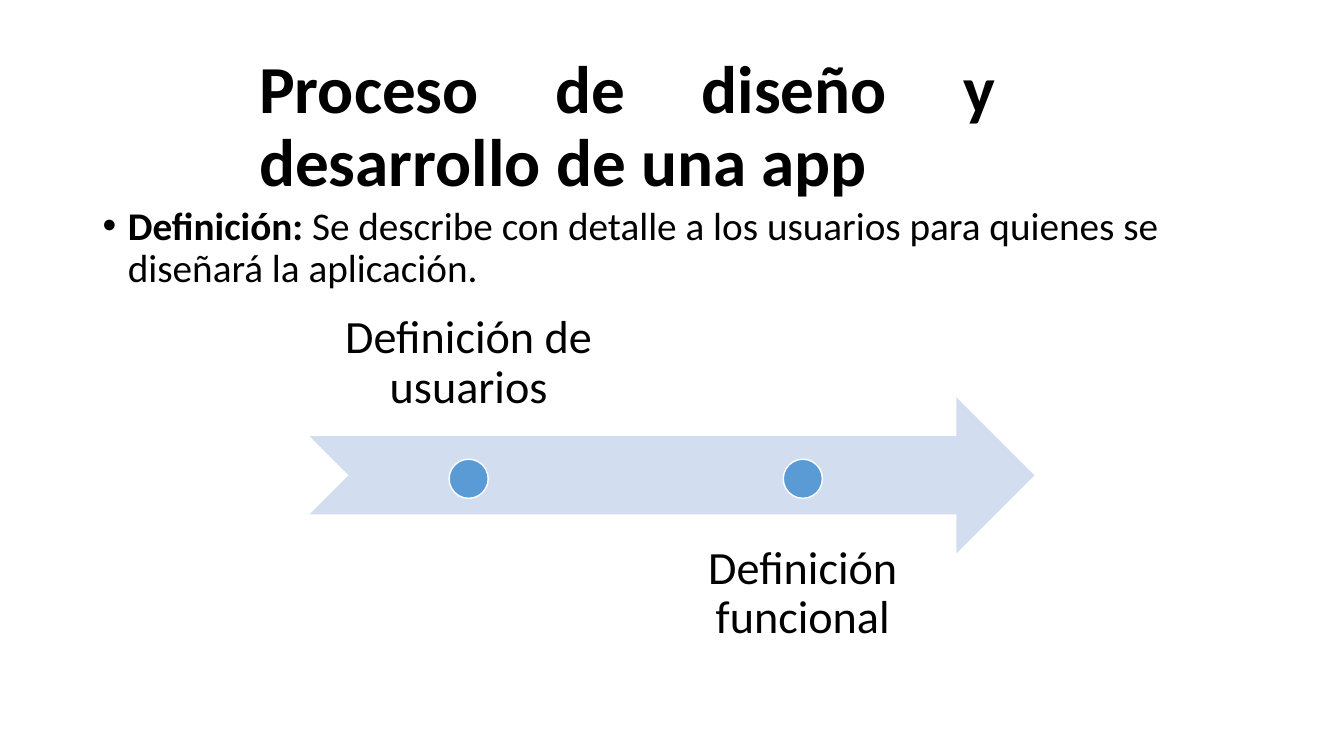
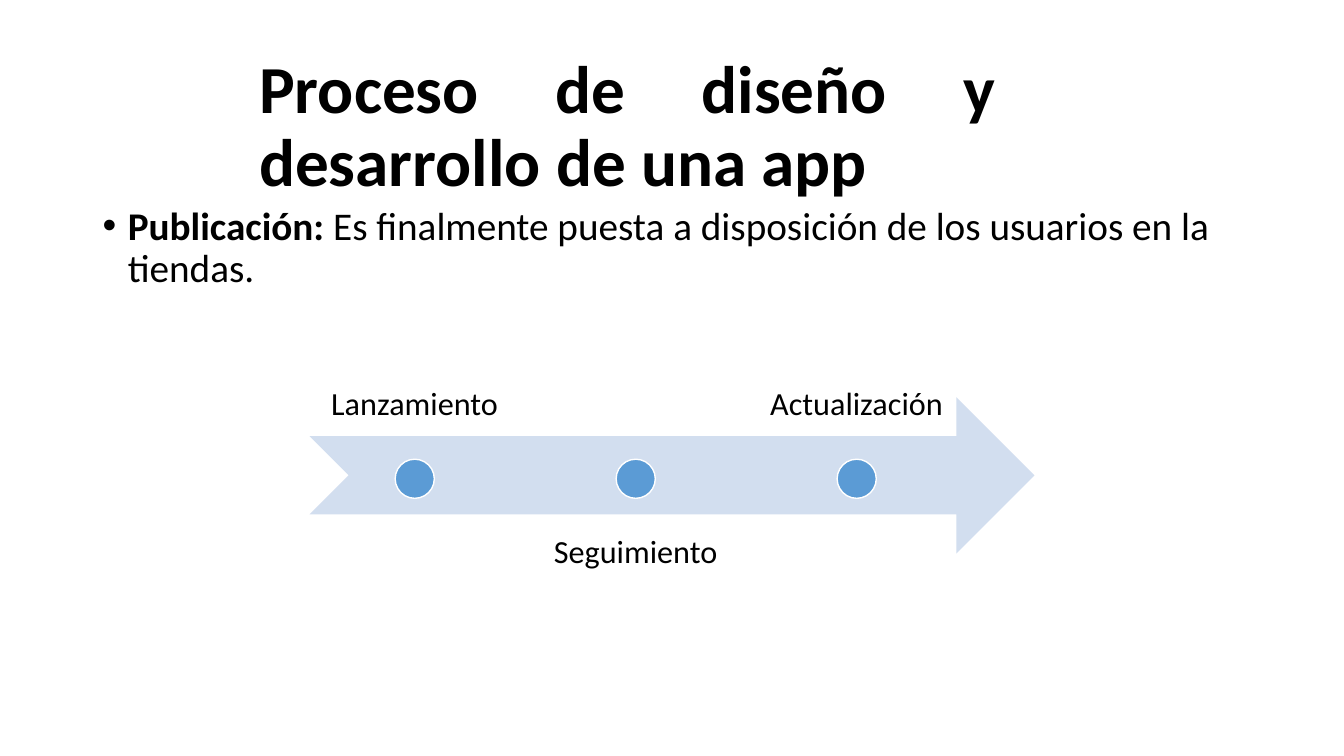
from lxml import etree
from pptx import Presentation
from pptx.dml.color import RGBColor
from pptx.enum.shapes import MSO_SHAPE
from pptx.enum.text import MSO_ANCHOR, MSO_AUTO_SIZE, PP_ALIGN
from pptx.oxml.ns import qn
from pptx.util import Inches, Pt

ARROW = MSO_SHAPE.NOTCHED_RIGHT_ARROW
DOT = MSO_SHAPE.OVAL
TOP, MIDDLE, BOTTOM = MSO_ANCHOR.TOP, MSO_ANCHOR.MIDDLE, MSO_ANCHOR.BOTTOM
CENTER, JUSTIFY = PP_ALIGN.CENTER, PP_ALIGN.JUSTIFY
NO_AUTOFIT = MSO_AUTO_SIZE.NONE

BLACK = RGBColor(0x00, 0x00, 0x00)
WHITE = RGBColor(0xFF, 0xFF, 0xFF)
PALE_BLUE = RGBColor(0xD2, 0xDE, 0xEF)
BLUE = RGBColor(0x5B, 0x9B, 0xD5)
FONT = "Calibri"
TITLE_ONLY = 5

TITLE = "Proceso de diseño y desarrollo de una app"
TITLE_BOX = (2.47, 0.55, 7.51, 1.45)
SUMMARY_BOX = (0.92, 2, 11.5, 4.76)
TIMELINE_BOX = (3.07, 2.81, 7.19, 3.88)

STAGES = [
    ("Definición: ",
     "Se describe con detalle a los usuarios para quienes se diseñará la aplicación.",
     ["Definición de usuarios", "Definición funcional"], 33, 0.26),
    ("Publicación: ",
     "Es finalmente puesta a disposición de los usuarios en la tiendas.",
     ["Lanzamiento", "Seguimiento", "Actualización"], 23, 0.18),
]


def inches(box):
    """Convert a box of numbers to lengths."""
    return [Inches(value) for value in box]


def style_paragraph(paragraph, size, bold=None, align=None):
    """Apply the shared type style to a paragraph."""
    paragraph.line_spacing = 0.9
    paragraph.alignment = align
    font = paragraph.font
    font.name, font.size, font.bold = FONT, Pt(size), bold
    font.color.rgb = BLACK


def add_title(slide, box):
    """Place the justified title in its box."""
    title = slide.shapes.title
    title.left, title.top, title.width, title.height = inches(box)
    frame = title.text_frame
    frame.text = TITLE
    frame.auto_size = NO_AUTOFIT
    frame.vertical_anchor = MIDDLE
    style_paragraph(frame.paragraphs[0], 48, True, JUSTIFY)


def add_summary(slide, box, term, description):
    """Place a bulleted paragraph that opens with a bold term."""
    frame = slide.shapes.add_textbox(*inches(box)).text_frame
    frame.word_wrap = True
    paragraph = frame.paragraphs[0]
    style_paragraph(paragraph, 28)
    paragraph.space_before = Pt(10)
    lead = paragraph.add_run()
    lead.text = term
    lead.font.bold = True
    paragraph.add_run().text = description
    properties = paragraph.font._element.getparent()
    properties.set("marL", str(Inches(0.25)))
    properties.set("indent", str(-Inches(0.25)))
    bullet_font = etree.Element(qn("a:buFont"), typeface="Arial")
    bullet = etree.Element(qn("a:buChar"), char="•")
    for element in (bullet_font, bullet):
        properties.find(qn("a:defRPr")).addprevious(element)


def add_filled(shapes, kind, box, fill):
    """Add a flat preset shape without an outline."""
    shape = shapes.add_shape(kind, *inches(box))
    shape.shadow.inherit = False
    shape.fill.solid()
    shape.fill.fore_color.rgb = fill
    shape.line.fill.background()
    return shape


def add_step_label(shapes, box, text, size, inset, anchor):
    """Add the centred label of one step."""
    frame = shapes.add_textbox(*inches(box)).text_frame
    frame.word_wrap = True
    frame.vertical_anchor = anchor
    frame.margin_left = frame.margin_right = Inches(inset)
    frame.margin_top = frame.margin_bottom = Inches(inset)
    frame.text = text
    style_paragraph(frame.paragraphs[0], size, align=CENTER)


def add_timeline(slide, box, steps, size, inset):
    """Draw an arrow with dots and labels alternating above and below."""
    left, top, width, height = box
    shapes = slide.shapes.add_group_shape().shapes
    label_height = 0.4 * height
    add_filled(shapes, ARROW, (left, top + 1.13, width, label_height), PALE_BLUE)
    label_width = 0.9 * width / (len(steps) + 0.05 * (len(steps) - 1))
    dot_size = 0.1 * height
    for index, step in enumerate(steps):
        label_left = left + index * 1.05 * label_width
        above = index % 2 == 0
        label_top = top if above else top + 0.6 * height
        add_step_label(shapes, (label_left, label_top, label_width, label_height),
                       step, size, inset, BOTTOM if above else TOP)
        dot_left = label_left + (label_width - dot_size) / 2
        dot = add_filled(shapes, DOT,
                         (dot_left, top + 0.45 * height, dot_size, dot_size), BLUE)
        dot.line.color.rgb = WHITE
        dot.line.width = Pt(1)


def add_stage_slide(deck, term, description, steps, size, inset):
    """Build the slide of one stage of the process."""
    slide = deck.slides.add_slide(deck.slide_layouts[TITLE_ONLY])
    add_summary(slide, SUMMARY_BOX, term, description)
    add_title(slide, TITLE_BOX)
    add_timeline(slide, TIMELINE_BOX, steps, size, inset)


def main():
    """Build and save the deck."""
    deck = Presentation()
    deck.slide_width, deck.slide_height = Inches(13.33), Inches(7.5)
    for stage in STAGES:
        add_stage_slide(deck, *stage)
    deck.save("out.pptx")


if __name__ == "__main__":
    main()
